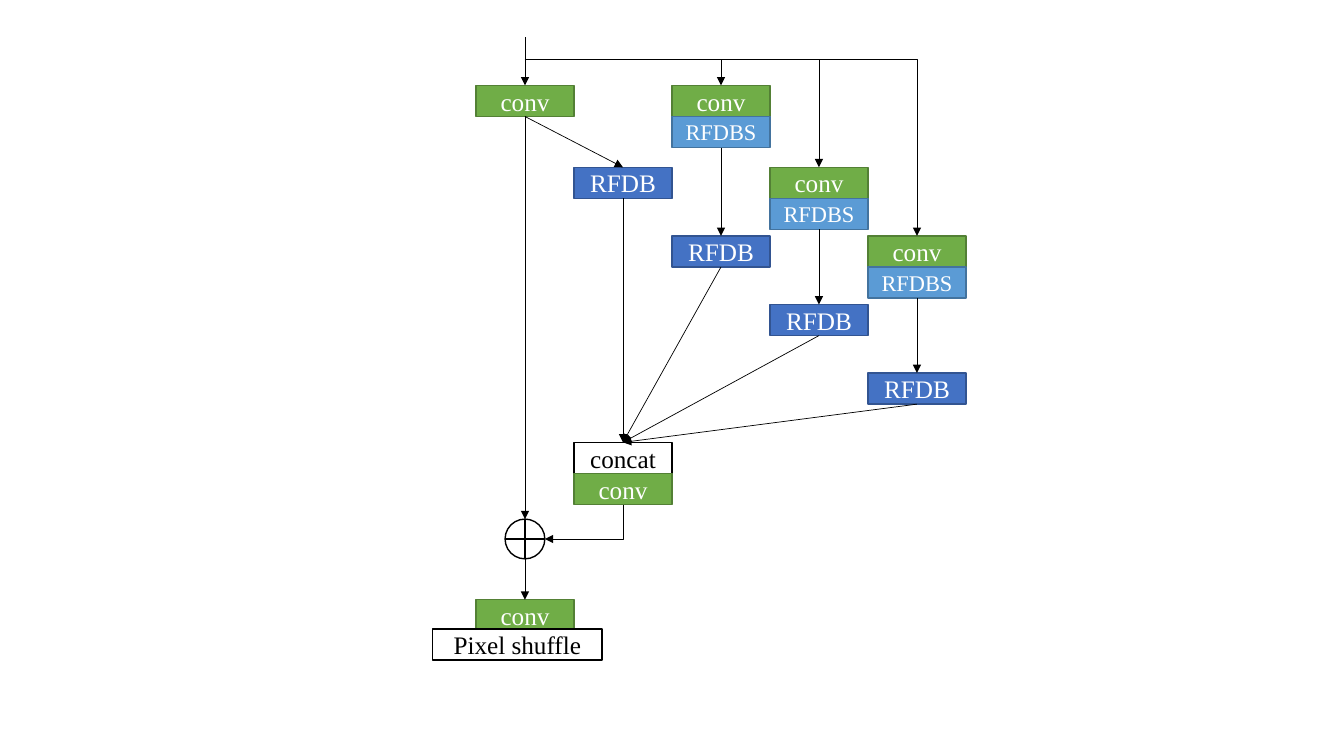
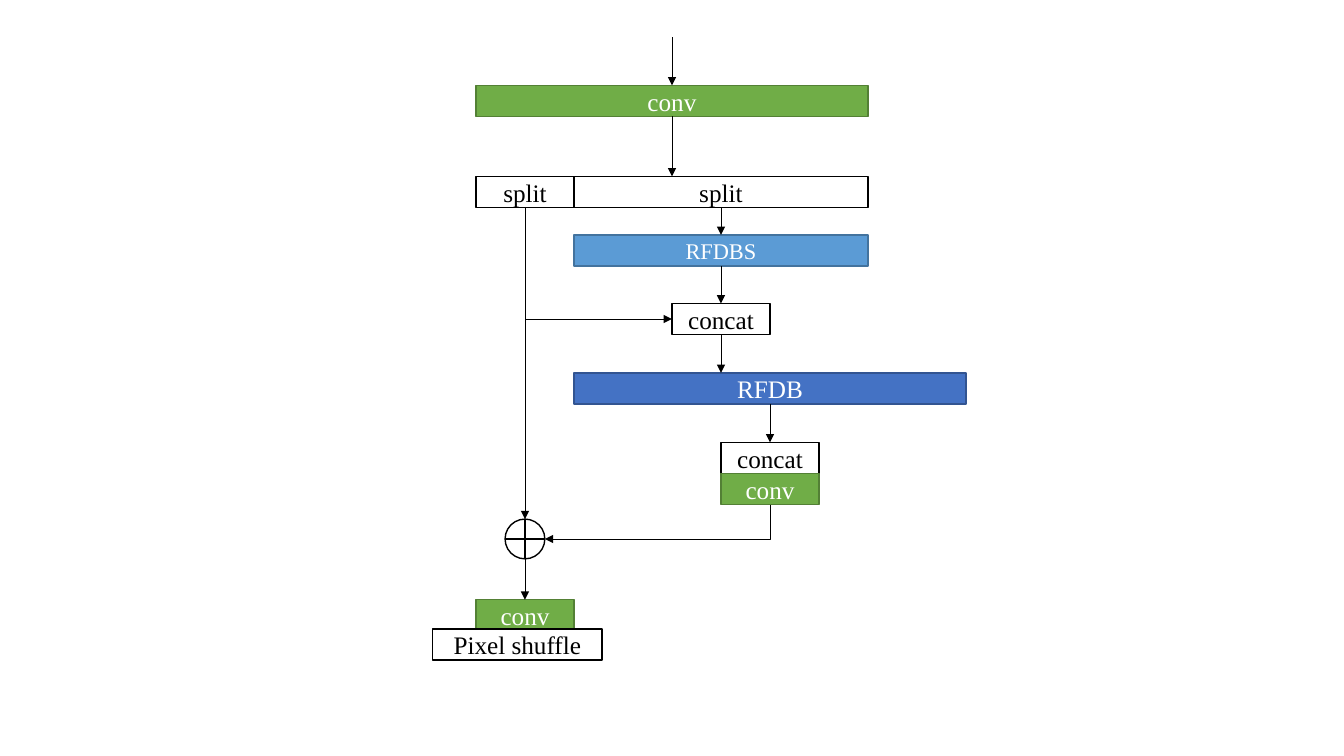
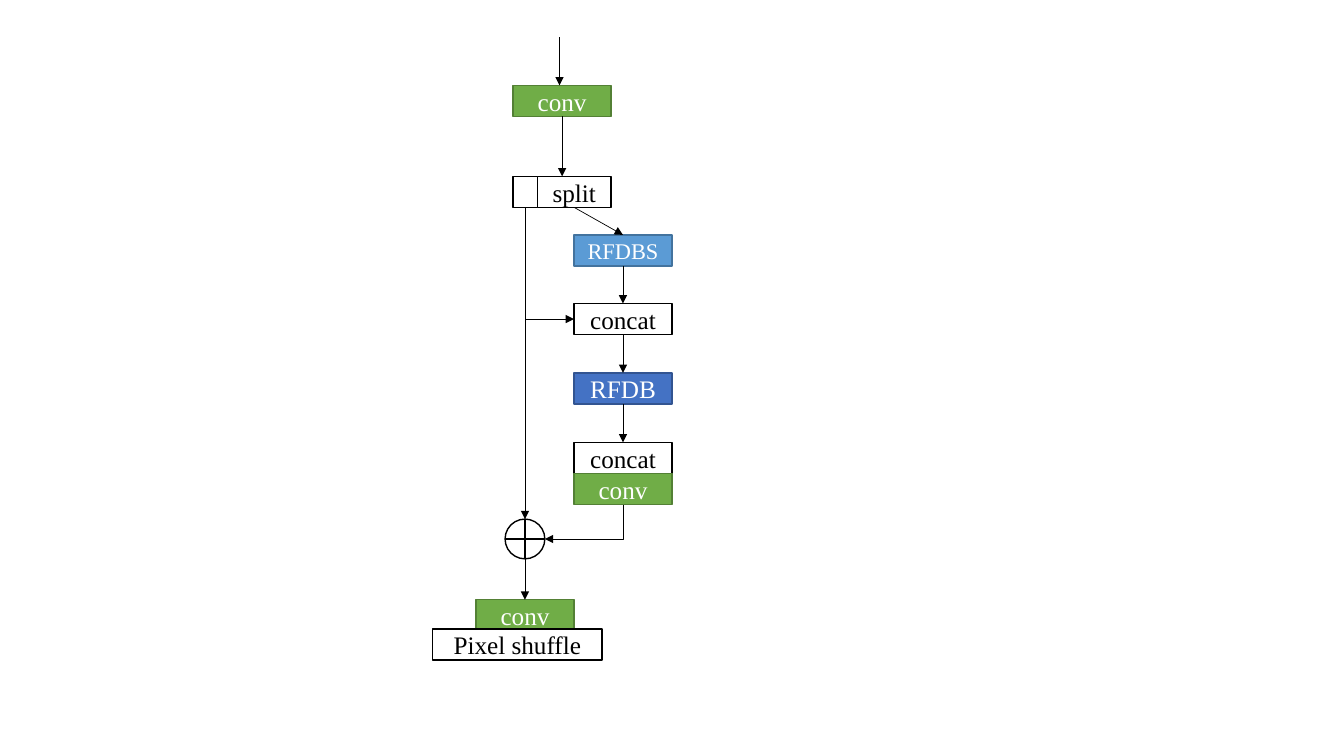
from dataclasses import dataclass
from typing import NamedTuple

from lxml.etree import SubElement
from pptx import Presentation
from pptx.dml.color import RGBColor
from pptx.enum.shapes import MSO_CONNECTOR, MSO_SHAPE
from pptx.enum.text import MSO_ANCHOR, PP_ALIGN
from pptx.oxml.ns import qn
from pptx.shapes.autoshape import Shape
from pptx.shapes.connector import Connector
from pptx.slide import Slide
from pptx.util import Pt

# Shared look
BLACK = RGBColor(0x00, 0x00, 0x00)
WHITE = RGBColor(0xFF, 0xFF, 0xFF)
GREEN = RGBColor(0x70, 0xAD, 0x47)
GREEN_EDGE = RGBColor(0x53, 0x80, 0x35)
BLUE = RGBColor(0x44, 0x72, 0xC4)
BLUE_EDGE = RGBColor(0x32, 0x54, 0x91)
SKY = RGBColor(0x5B, 0x9B, 0xD5)
SKY_EDGE = RGBColor(0x43, 0x73, 0x9E)
FONT = "Times New Roman"

# Shared grid, in points
UNIT = 70
HEIGHT = 22.2
FIRST_LEFT = 340
TRUNK = FIRST_LEFT + UNIT / 2
INPUT_TOP = 26.6
CONV_TOP = 61
SPLIT_TOP = 126
RFDBS_TOP = 167.8
JOIN_TOP = 216.8
RFDB_TOP = 266.4
CONCAT_TOP = 316
SUM_TOP = 370.8
SUM_SIZE = 28.4
OUTPUT_TOP = 428.4
SHUFFLE_TOP = 449.3


class Style(NamedTuple):
    fill: RGBColor
    edge: RGBColor
    text: RGBColor
    size: float = 18


CONV = Style(GREEN, GREEN_EDGE, WHITE)
RFDB = Style(BLUE, BLUE_EDGE, WHITE)
RFDBS = Style(SKY, SKY_EDGE, WHITE, 16)
PLAIN = Style(WHITE, BLACK, BLACK)


class Point(NamedTuple):
    x: float
    y: float


@dataclass(frozen=True)
class Block:
    label: str
    style: Style
    left: float
    top: float
    width: float = UNIT
    height: float = HEIGHT
    preset: MSO_SHAPE = MSO_SHAPE.RECTANGLE

    @property
    def head(self) -> Point:
        return Point(self.left + self.width / 2, self.top)

    @property
    def foot(self) -> Point:
        return Point(self.head.x, self.top + self.height)

    @property
    def left_side(self) -> Point:
        return Point(self.left, self.top + self.height / 2)

    @property
    def right_side(self) -> Point:
        return Point(self.left + self.width, self.left_side.y)


def write_text(shape: Shape, text: str, *, size: float, color: RGBColor) -> None:
    frame = shape.text_frame
    frame.word_wrap = True
    frame.vertical_anchor = MSO_ANCHOR.MIDDLE
    frame.margin_left = frame.margin_right = Pt(0)
    frame.margin_top = frame.margin_bottom = Pt(0)
    paragraph = frame.paragraphs[0]
    paragraph.alignment = PP_ALIGN.CENTER
    run = paragraph.add_run()
    run.text = text
    run.font.name = FONT
    run.font.size = Pt(size)
    run.font.color.rgb = color


def draw_block(slide: Slide, block: Block) -> Block:
    shape = slide.shapes.add_shape(
        block.preset, Pt(block.left), Pt(block.top), Pt(block.width), Pt(block.height))
    shape.shadow.inherit = False
    shape.fill.solid()
    shape.fill.fore_color.rgb = block.style.fill
    shape.line.color.rgb = block.style.edge
    shape.line.width = Pt(1)
    if block.label:
        write_text(shape, block.label, size=block.style.size, color=block.style.text)
    return block


def draw_arrow(slide: Slide, start: Point, end: Point,
               kind: MSO_CONNECTOR = MSO_CONNECTOR.STRAIGHT) -> Connector:
    connector = slide.shapes.add_connector(
        kind, Pt(start.x), Pt(start.y), Pt(end.x), Pt(end.y))
    connector.line.color.rgb = BLACK
    connector.line.width = Pt(0.5)
    properties = connector.element.spPr
    SubElement(properties.find(qn("a:ln")), qn("a:tailEnd"), type="triangle")
    SubElement(properties, qn("a:effectLst"))
    return connector


def draw_across_then_down(slide: Slide, start: Point, end: Point) -> Connector:
    connector = draw_arrow(slide, start, end, MSO_CONNECTOR.ELBOW)
    connector.element.spPr.find(qn("a:prstGeom")).set("prst", "bentConnector2")
    return connector


def draw_down_then_across(slide: Slide, start: Point, end: Point) -> None:
    """Turn a one-corner elbow by a quarter, mirrored when it runs rightward."""
    middle = Point((start.x + end.x) / 2, (start.y + end.y) / 2)
    half_width = (end.y - start.y) / 2
    half_height = abs(end.x - start.x) / 2
    rightward = end.x > start.x
    if rightward:
        half_width = -half_width
    connector = draw_across_then_down(
        slide,
        Point(middle.x - half_width, middle.y - half_height),
        Point(middle.x + half_width, middle.y + half_height))
    degrees = 270 if rightward else 90
    connector.element.spPr.find(qn("a:xfrm")).set("rot", str(degrees * 60000))


def draw_ending(slide: Slide, concat_left: float, trunk_start: Point) -> Block:
    """Concat and conv, the sum with the trunk, and the output blocks."""
    concat = draw_block(slide, Block("concat", PLAIN, concat_left, CONCAT_TOP))
    fusion = draw_block(slide, Block("conv", CONV, concat_left, concat.foot.y))
    total = draw_block(slide, Block("", PLAIN, TRUNK - SUM_SIZE / 2, SUM_TOP,
                                    SUM_SIZE, SUM_SIZE, MSO_SHAPE.FLOWCHART_OR))
    output = draw_block(slide, Block("conv", CONV, FIRST_LEFT, OUTPUT_TOP))
    draw_block(slide, Block("Pixel shuffle", PLAIN, 309, SHUFFLE_TOP, 121))
    draw_down_then_across(slide, fusion.foot, total.right_side)
    draw_arrow(slide, trunk_start, total.head)
    draw_arrow(slide, total.foot, output.head)
    return concat


def draw_separate_branches(slide: Slide) -> None:
    rfdb_tops = [119.5 + 49 * index for index in range(4)]
    conv_tops = [CONV_TOP] + rfdb_tops
    entry = draw_block(slide, Block("conv", CONV, FIRST_LEFT, CONV_TOP))
    concat = draw_ending(slide, FIRST_LEFT + UNIT, entry.foot)
    draw_arrow(slide, Point(TRUNK, INPUT_TOP), entry.head)
    for index, rfdb_top in enumerate(rfdb_tops):
        left = FIRST_LEFT + UNIT * (index + 1)
        rfdb = draw_block(slide, Block("RFDB", RFDB, left, rfdb_top))
        source = entry
        if index:
            conv = draw_block(slide, Block("conv", CONV, left, conv_tops[index - 1]))
            source = draw_block(slide, Block("RFDBS", RFDBS, left, conv.foot.y))
            draw_across_then_down(slide, Point(TRUNK, 42.5), conv.head)
        draw_arrow(slide, source.foot, rfdb.head)
        draw_arrow(slide, rfdb.foot, concat.head)


@dataclass(frozen=True)
class SplitLayout:
    conv: Block
    kept: Block
    passed: Block
    rfdbs: Block
    join: Block
    rfdb: Block
    concat_left: float
    input_x: float


def draw_split_network(slide: Slide, layout: SplitLayout) -> None:
    for block in (layout.conv, layout.passed, layout.kept,
                  layout.rfdbs, layout.join, layout.rfdb):
        draw_block(slide, block)
    trunk_start = Point(TRUNK, layout.kept.foot.y)
    concat = draw_ending(slide, layout.concat_left, trunk_start)
    conv_foot = layout.conv.foot
    join_head, join_foot = layout.join.head, layout.join.foot
    arrows = [
        (Point(layout.input_x, INPUT_TOP), Point(layout.input_x, CONV_TOP)),
        (conv_foot, Point(conv_foot.x, SPLIT_TOP)),
        (layout.passed.foot, layout.rfdbs.head),
        (layout.rfdbs.foot, join_head),
        (join_foot, Point(join_foot.x, RFDB_TOP)),
        (layout.rfdb.foot, concat.head),
    ]
    for start, end in arrows:
        draw_arrow(slide, start, end)
    draw_down_then_across(slide, trunk_start, layout.join.left_side)


SECOND_LEFT = FIRST_LEFT + UNIT
NARROW_LEFT = 366.5

WIDE_SPLIT = SplitLayout(
    conv=Block("conv", CONV, FIRST_LEFT, CONV_TOP, 4 * UNIT),
    kept=Block("split", PLAIN, FIRST_LEFT, SPLIT_TOP),
    passed=Block("split", PLAIN, SECOND_LEFT, SPLIT_TOP, 3 * UNIT),
    rfdbs=Block("RFDBS", RFDBS, SECOND_LEFT, RFDBS_TOP, 3 * UNIT),
    join=Block("concat", PLAIN, SECOND_LEFT + UNIT, JOIN_TOP),
    rfdb=Block("RFDB", RFDB, SECOND_LEFT, RFDB_TOP, 4 * UNIT),
    concat_left=SECOND_LEFT + 1.5 * UNIT,
    input_x=480,
)

NARROW_SPLIT = SplitLayout(
    conv=Block("conv", CONV, NARROW_LEFT, CONV_TOP),
    kept=Block("", PLAIN, NARROW_LEFT, SPLIT_TOP, UNIT / 4),
    passed=Block("split", PLAIN, NARROW_LEFT + UNIT / 4, SPLIT_TOP, 0.75 * UNIT),
    rfdbs=Block("RFDBS", RFDBS, SECOND_LEFT, RFDBS_TOP),
    join=Block("concat", PLAIN, SECOND_LEFT, JOIN_TOP),
    rfdb=Block("RFDB", RFDB, SECOND_LEFT, RFDB_TOP),
    concat_left=SECOND_LEFT,
    input_x=399.7,
)


def main() -> None:
    presentation = Presentation()
    presentation.slide_width = Pt(960)
    presentation.slide_height = Pt(540)
    blank = presentation.slide_layouts[6]
    draw_separate_branches(presentation.slides.add_slide(blank))
    for layout in (WIDE_SPLIT, NARROW_SPLIT):
        draw_split_network(presentation.slides.add_slide(blank), layout)
    presentation.save("out.pptx")


main()
